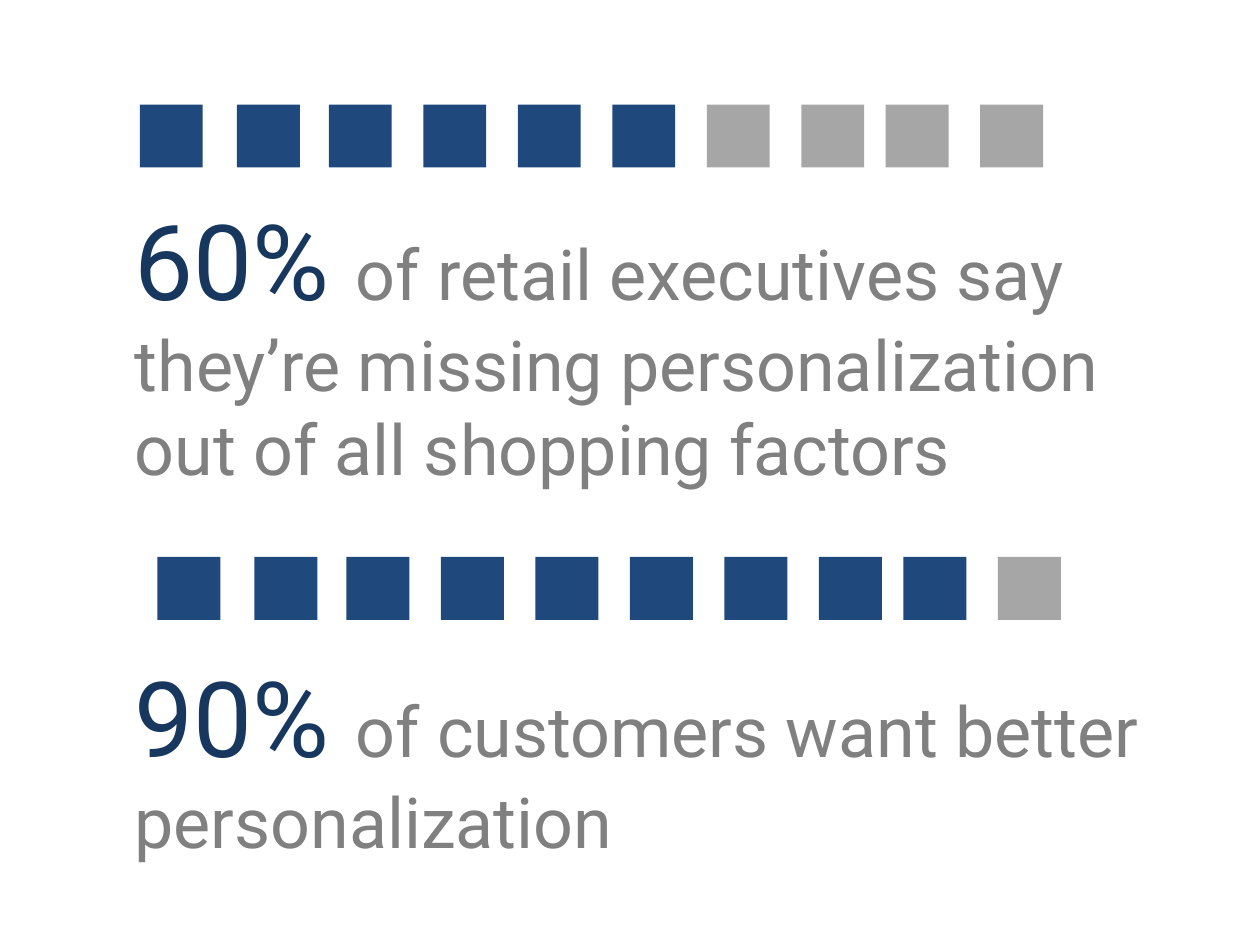
"""Build a slide of two ten-square pictograms, each with its statistic below."""
from dataclasses import dataclass

import pptx
import pptx.dml.color
import pptx.enum.shapes
import pptx.enum.text
import pptx.util

Inches = pptx.util.Inches

STATS = [
    {"filled": 6, "figure": "60% ",
     "claim": "of retail executives say they’re missing personalization out of all shopping factors",
     "squares_at": (1.11, 0.83), "text_top": 1.5, "text_height": 2.46},
    {"filled": 9, "figure": "90% ",
     "claim": "of customers want better personalization",
     "squares_at": (1.25, 4.42), "text_top": 5.13, "text_height": 1.78},
]
SQUARE_OFFSETS = (0, 0.77, 1.5, 2.25, 3, 3.75, 4.5, 5.25, 5.92, 6.67)
SQUARE_SIZE = 0.5
TEXT_LEFT, TEXT_WIDTH = 0.97, 8.28


@dataclass(frozen=True)
class Theme:
    """Colours, font and type sizes of the slide."""
    filled: str = "1F497D"
    empty: str = "A6A6A6"
    figure: str = "17375E"
    claim: str = "808080"
    font: str = "Roboto"
    figure_size: int = 60
    claim_size: int = 40


THEME = Theme()


def rgb(value):
    """Return the colour for a hex string."""
    return pptx.dml.color.RGBColor.from_string(value)


def add_squares(s, stat):
    """Draw the row of squares, coloured up to the filled count."""
    left, top = stat["squares_at"]
    for i, offset in enumerate(SQUARE_OFFSETS):
        sp = s.shapes.add_shape(
            pptx.enum.shapes.MSO_SHAPE.RECTANGLE, Inches(left + offset),
            Inches(top), Inches(SQUARE_SIZE), Inches(SQUARE_SIZE))
        sp.shadow.inherit = False
        sp.fill.solid()
        sp.fill.fore_color.rgb = rgb(THEME.filled if i < stat["filled"] else THEME.empty)
        sp.line.fill.background()


def add_statement(s, stat):
    """Write the large figure followed by its claim."""
    sp = s.shapes.add_textbox(Inches(TEXT_LEFT), Inches(stat["text_top"]),
                              Inches(TEXT_WIDTH), Inches(stat["text_height"]))
    tf = sp.text_frame
    tf.word_wrap = True
    tf.auto_size = pptx.enum.text.MSO_AUTO_SIZE.SHAPE_TO_FIT_TEXT
    p = tf.paragraphs[0]
    for text, size, colour in (
            (stat["figure"], THEME.figure_size, THEME.figure),
            (stat["claim"], THEME.claim_size, THEME.claim)):
        r = p.add_run()
        r.text = text
        r.font.name = THEME.font
        r.font.size = pptx.util.Pt(size)
        r.font.color.rgb = rgb(colour)


def main():
    """Assemble and save the slide."""
    prs = pptx.Presentation()
    prs.slide_width, prs.slide_height = Inches(10), Inches(7.5)
    s = prs.slides.add_slide(prs.slide_layouts[6])
    for stat in STATS:
        add_squares(s, stat)
    for stat in STATS:
        add_statement(s, stat)
    prs.save("out.pptx")


if __name__ == "__main__":
    main()
